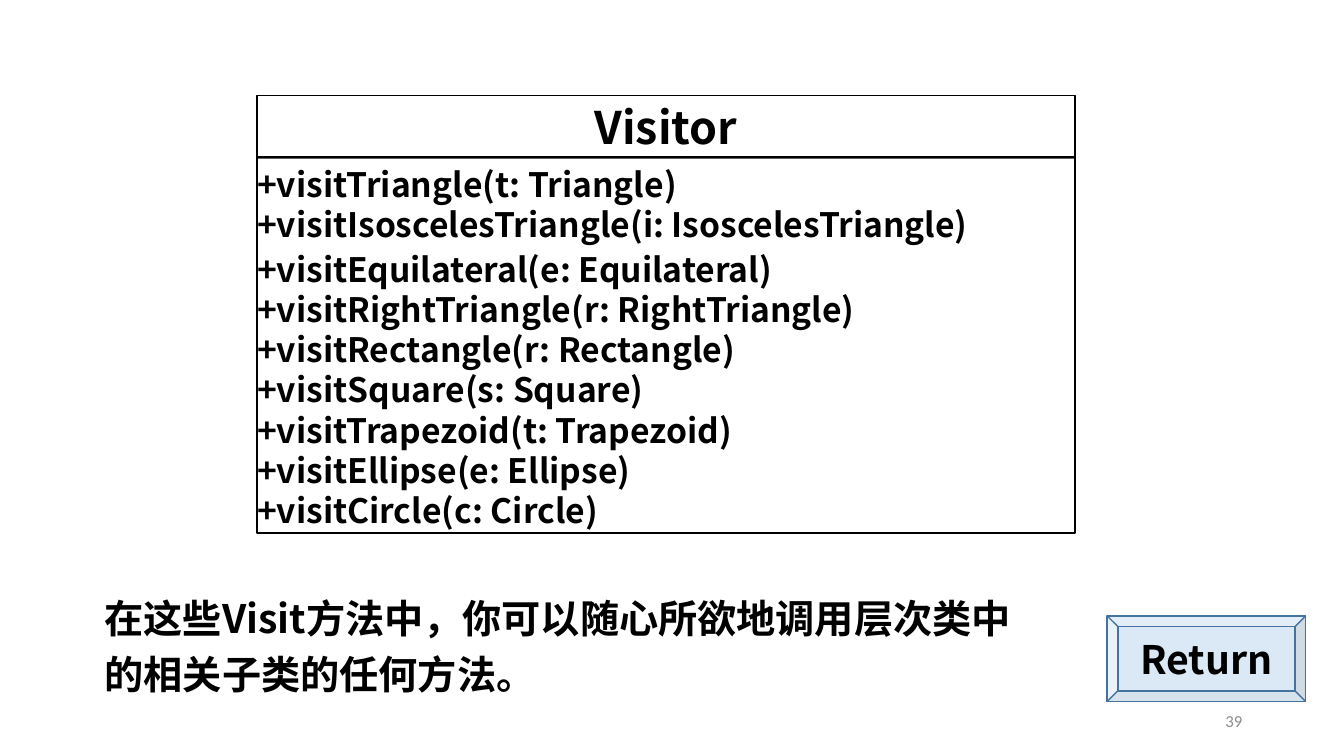
from dataclasses import dataclass

from lxml.etree import SubElement
from pptx import Presentation
from pptx.dml.color import RGBColor
from pptx.enum.shapes import MSO_SHAPE as Preset
from pptx.enum.text import MSO_ANCHOR as Anchor, MSO_AUTO_SIZE as AutoSize, PP_ALIGN as Align
from pptx.oxml.ns import qn
from pptx.util import Inches, Pt

WIDTH, HEIGHT = Inches(13.33), Inches(7.5)
COLUMNS, ROWS = 40, 30
HEADING_FONT, NUMBER_FONT = "Noto Sans CJK SC", "Calibri"
CLASS_LEFT, CLASS_WIDTH = 7.65, 24.34
LOOSE_METHODS = ("Triangle", "Equilateral")
VISITED = ("Triangle", "IsoscelesTriangle", "Equilateral", "RightTriangle", "Rectangle",
           "Square", "Trapezoid", "Ellipse", "Circle")


@dataclass(frozen=True)
class Area:
    """A place on the slide in grid columns and rows."""
    left: float
    top: float
    width: float
    height: float

    def lengths(self) -> tuple[int, int, int, int]:
        """Return left, top, width and height as slide lengths."""
        column, row = WIDTH / COLUMNS, HEIGHT / ROWS
        return (round(self.left * column), round(self.top * row),
                round(self.width * column), round(self.height * row))


@dataclass(frozen=True)
class Panel:
    """A filled and outlined shape."""
    area: Area
    preset: Preset
    fill: str
    opacity: int
    line: str


def color(code: str) -> RGBColor:
    """Turn a hex string into a colour."""
    return RGBColor.from_string(code)


def write(para, text: str, *, size: int, font: str = HEADING_FONT, ink: str = "000000",
          bold: bool = True, align: Align = Align.LEFT, spacing: float = 1.0) -> None:
    """Write one formatted span into a paragraph."""
    para.alignment, para.line_spacing = align, spacing
    span = para.add_run()
    span.text = text
    span.font.name, span.font.size, span.font.bold = font, Pt(size), bold
    span.font.color.rgb = color(ink)
    SubElement(span.font._element, qn("a:ea"), typeface=font)


def add_panel(page, panel: Panel, inset: bool = True):
    """Draw a panel and return its text frame."""
    box = page.shapes.add_shape(panel.preset, *panel.area.lengths())
    box.shadow.inherit = False
    box.fill.solid()
    box.fill.fore_color.rgb = color(panel.fill)
    hue = box.fill._xPr.find(f"{qn('a:solidFill')}/{qn('a:srgbClr')}")
    SubElement(hue, qn("a:alpha"), val=str(panel.opacity * 1000))
    box.line.color.rgb = color(panel.line)
    box.line.width = Pt(1)
    frame = box.text_frame
    frame.word_wrap, frame.vertical_anchor = True, Anchor.MIDDLE
    if not inset:
        frame.margin_left = frame.margin_top = frame.margin_right = frame.margin_bottom = 0
    return frame


def add_label(page, area: Area, anchor: Anchor = Anchor.TOP,
              fit: AutoSize = AutoSize.NONE):
    """Add a wrapping text box and return its text frame."""
    frame = page.shapes.add_textbox(*area.lengths()).text_frame
    frame.word_wrap, frame.vertical_anchor, frame.auto_size = True, anchor, fit
    return frame


def class_panel(top: float, height: float) -> Panel:
    """Describe one compartment of the class box."""
    return Panel(Area(CLASS_LEFT, top, CLASS_WIDTH, height), Preset.RECTANGLE,
                 "FFFFFF", 38, "000000")


def add_class(page) -> None:
    """Draw the Visitor class with its methods."""
    name = add_panel(page, class_panel(3.8, 2.48), inset=False)
    write(name.paragraphs[0], "Visitor", size=32, align=Align.CENTER)
    methods = add_panel(page, class_panel(6.24, 14.92), inset=False)
    for index, shape in enumerate(VISITED):
        para = methods.add_paragraph() if index else methods.paragraphs[0]
        write(para, f"+visit{shape}({shape[0].lower()}: {shape})", size=24,
              align=Align.JUSTIFY, spacing=1.1 if shape in LOOSE_METHODS else 1.0)


def main() -> None:
    """Build and save the slide."""
    deck = Presentation()
    deck.slide_width, deck.slide_height = WIDTH, HEIGHT
    page = deck.slides.add_slide(deck.slide_layouts.get_by_name("Blank"))

    number = add_label(page, Area(28.27, 27.8, 9, 1.6), Anchor.MIDDLE)
    write(number.paragraphs[0], "39", size=12, font=NUMBER_FONT, ink="8C8C8C",
          bold=False, align=Align.RIGHT)
    add_class(page)
    remark = add_label(page, Area(2.82, 23, 28.45, 4.92), fit=AutoSize.SHAPE_TO_FIT_TEXT)
    write(remark.paragraphs[0], "在这些Visit方法中，你可以随心所欲地调用层次类中的相关子类的任何方法。",
          size=28, spacing=1.2)
    button = add_panel(page, Panel(Area(32.95, 24.44, 5.91, 3.4), Preset.BEVEL,
                                   "5B9BD5", 22, "43739E"))
    write(button.paragraphs[0], "Return", size=28, align=Align.CENTER)

    deck.save("out.pptx")


if __name__ == "__main__":
    main()
